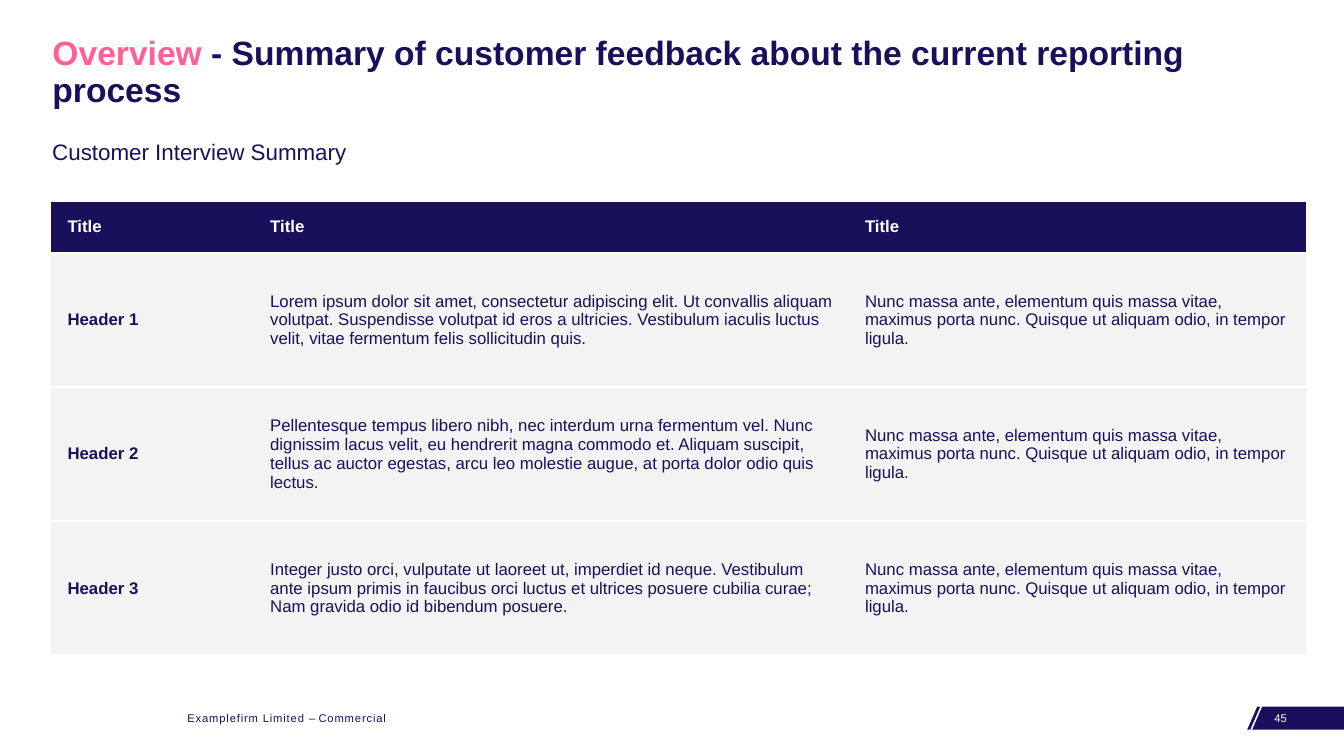
import lxml.etree
import pptx
import pptx.dml.color
import pptx.enum.text
import pptx.oxml.ns
import pptx.util

Inches = pptx.util.Inches
Pt = pptx.util.Pt
MIDDLE = pptx.enum.text.MSO_ANCHOR.MIDDLE

COLORS = {"navy": "19105B", "badge": "1A0F5C", "pink": "FF6196",
          "white": "FFFFFF", "row": "F3F3F3"}

NUNC = ("Nunc massa ante, elementum quis massa vitae, maximus porta nunc. "
        "Quisque ut aliquam odio, in tempor ligula.")
ROWS = [
    ("Title", "Title", "Title"),
    ("Header 1",
     "Lorem ipsum dolor sit amet, consectetur adipiscing elit. Ut convallis aliquam volutpat. "
     "Suspendisse volutpat id eros a ultricies. Vestibulum iaculis luctus velit, vitae "
     "fermentum felis sollicitudin quis.", NUNC),
    ("Header 2",
     "Pellentesque tempus libero nibh, nec interdum urna fermentum vel. Nunc dignissim lacus "
     "velit, eu hendrerit magna commodo et. Aliquam suscipit, tellus ac auctor egestas, arcu "
     "leo molestie augue, at porta dolor odio quis lectus.", NUNC),
    ("Header 3",
     "Integer justo orci, vulputate ut laoreet ut, imperdiet id neque. Vestibulum ante ipsum "
     "primis in faucibus orci luctus et ultrices posuere cubilia curae; Nam gravida odio id "
     "bibendum posuere.", NUNC),
]


def rgb(name):
    return pptx.dml.color.RGBColor.from_string(COLORS[name])


def style_run(r, size, color, bold=False):
    r.font.name = "Arial"
    r.font.size = Pt(size)
    r.font.bold = bold
    r.font.color.rgb = rgb(color)


def add_runs(p, size, runs, bold=False):
    p.alignment = pptx.enum.text.PP_ALIGN.LEFT
    for text, color in runs:
        r = p.add_run()
        r.text = text
        style_run(r, size, color, bold)


def add_title(s, x, y, w, h):
    sp = s.shapes.title
    sp.left, sp.top, sp.width, sp.height = (Inches(v) for v in (x, y, w, h))
    tf = sp.text_frame
    tf.word_wrap = True
    tf.auto_size = pptx.enum.text.MSO_AUTO_SIZE.NONE
    tf.vertical_anchor = MIDDLE
    p = tf.paragraphs[0]
    p.line_spacing = 0.9
    add_runs(p, 24, [
        ("Overview", "pink"),
        (" - Summary of customer feedback about the current reporting process", "navy"),
    ], bold=True)


def add_label(s, x, y, w, h, size, runs):
    sp = s.shapes.add_textbox(Inches(x), Inches(y), Inches(w), Inches(h))
    tf = sp.text_frame
    tf.word_wrap = True
    add_runs(tf.paragraphs[0], size, runs)
    return tf


def add_subtitle(s, x, y, w, h):
    tf = add_label(s, x, y, w, h, 16, [("Customer Interview Summary", "navy")])
    tf.vertical_anchor = MIDDLE
    tf.paragraphs[0].line_spacing = 0.9


def set_borders(cell):
    tc_pr = cell._tc.get_or_add_tcPr()
    for i, side in enumerate(("L", "R", "T", "B")):
        ln = lxml.etree.Element(pptx.oxml.ns.qn(f"a:ln{side}"), w=str(Pt(1.5)))
        if side in "LR":
            lxml.etree.SubElement(ln, pptx.oxml.ns.qn("a:noFill"))
        else:
            fill = lxml.etree.SubElement(ln, pptx.oxml.ns.qn("a:solidFill"))
            lxml.etree.SubElement(fill, pptx.oxml.ns.qn("a:srgbClr"), val=COLORS["white"])
        tc_pr.insert(i, ln)


def add_feedback_table(s, x, y, w, h):
    widths = (2.01, 5.9, w - 7.91)
    header_h = 0.52
    row_h = (h - header_h) / (len(ROWS) - 1)
    table = s.shapes.add_table(len(ROWS), len(widths), Inches(x), Inches(y),
                               Inches(w), Inches(h)).table
    table.horz_banding = False
    for col, width in zip(table.columns, widths):
        col.width = Inches(width)
    for i, texts in enumerate(ROWS):
        header = i == 0
        table.rows[i].height = Inches(header_h if header else row_h)
        for j, text in enumerate(texts):
            cell = table.cell(i, j)
            cell.text_frame.text = text
            cell.vertical_anchor = MIDDLE
            cell.margin_left = Inches(0.16)
            cell.margin_right = Inches(0.15)
            cell.margin_top = cell.margin_bottom = Inches(0.1)
            cell.fill.solid()
            cell.fill.fore_color.rgb = rgb("navy" if header else "row")
            set_borders(cell)
            style_run(cell.text_frame.paragraphs[0].runs[0], 12,
                      "white" if header else "navy", header or j == 0)


def add_page_badge(s, x, y, w, h):
    slant = 0.1
    fb = None
    for left, top_right, bottom_right in ((0, 0.13, 0.03), (0.05, w, w)):
        corners = [(left + slant, 0), (top_right, 0), (bottom_right, h), (left, h)]
        points = [(Inches(x + dx), Inches(y + dy)) for dx, dy in corners]
        if fb is None:
            fb = s.shapes.build_freeform(*points[0])
        else:
            fb.move_to(*points[0])
        fb.add_line_segments(points[1:], close=True)
    sp = fb.convert_to_shape()
    sp.shadow.inherit = False
    sp.fill.solid()
    sp.fill.fore_color.rgb = rgb("badge")
    sp.line.fill.background()
    add_label(s, x + 0.17, y, 0.62, 0.24, 8, [("45", "white")])


def add_footer(s, x, y, w, h):
    tf = add_label(s, x, y, w, h, 8, [("Examplefirm Limited ", "navy"), ("– ", "navy"),
                                      ("Commercial", "navy")])
    runs = tf.paragraphs[0].runs
    for r in (runs[0], runs[2]):
        r._r.get_or_add_rPr().set("spc", "60")


def main():
    prs = pptx.Presentation()
    prs.slide_width, prs.slide_height = Inches(13.33), Inches(7.5)
    s = prs.slides.add_slide(prs.slide_layouts.get_by_name("Title Only"))
    add_page_badge(s, 12.37, 7.01, 0.96, 0.23)
    add_footer(s, 1.76, 7.01, 2.19, 0.24)
    add_subtitle(s, 0.42, 1.28, 12.5, 0.49)
    add_title(s, 0.42, 0.2, 12.5, 1.05)
    add_feedback_table(s, 0.51, 1.99, 12.44, 4.51)
    prs.save("out.pptx")


if __name__ == "__main__":
    main()
